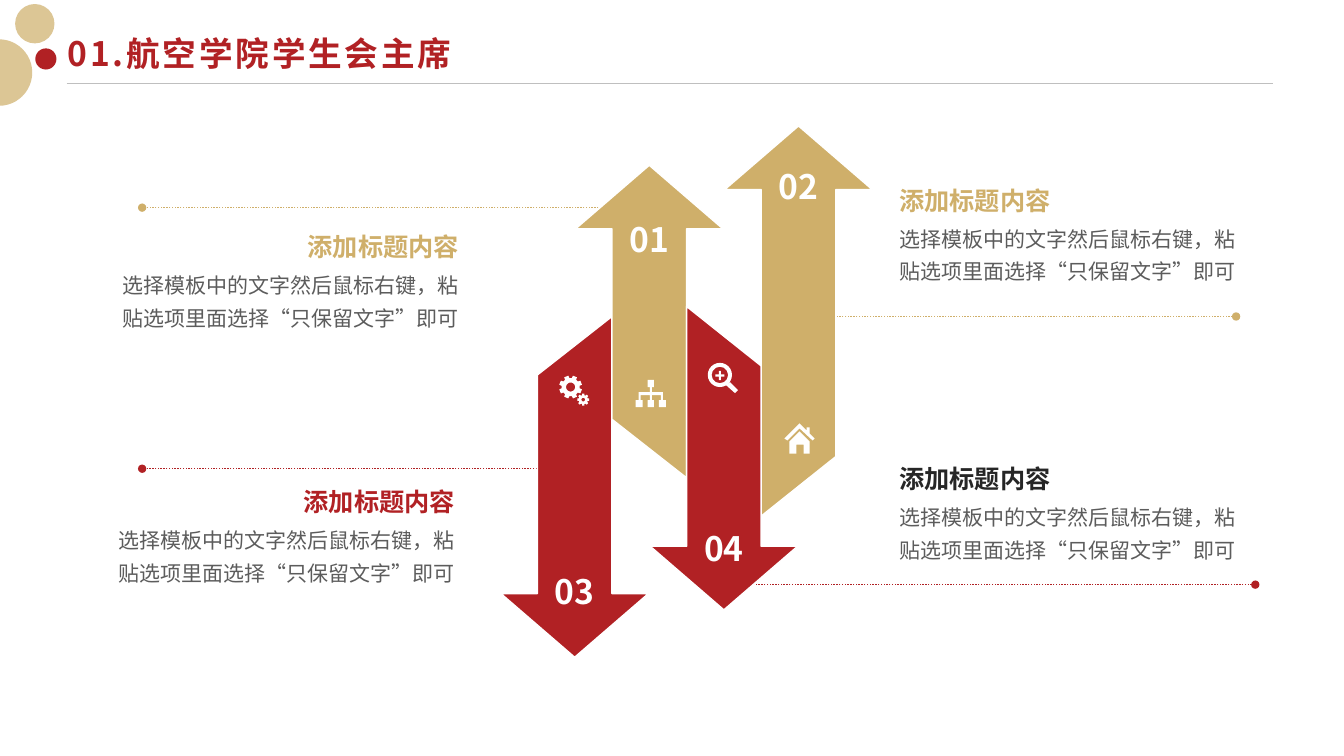
import math

import lxml.etree
import pptx
import pptx.dml.color
import pptx.enum.dml
import pptx.enum.shapes
import pptx.enum.text
import pptx.oxml.ns
import pptx.util

Inches = pptx.util.Inches
Pt = pptx.util.Pt
RGBColor = pptx.dml.color.RGBColor
MSO_SHAPE = pptx.enum.shapes.MSO_SHAPE
PP_ALIGN = pptx.enum.text.PP_ALIGN
MSO_ANCHOR = pptx.enum.text.MSO_ANCHOR
qn = pptx.oxml.ns.qn

FONT = "Noto Sans CJK SC"
GOLD = RGBColor(0xCF, 0xAF, 0x6A)
RED = RGBColor(0xB1, 0x21, 0x24)
WHITE = RGBColor(0xFF, 0xFF, 0xFF)
BLACK = RGBColor(0x26, 0x26, 0x26)
GREY = RGBColor(0x5C, 0x5C, 0x5C)
RULE_GREY = RGBColor(0xBF, 0xBF, 0xBF)

HEADING = "添加标题内容"
BODY = "选择模板中的文字然后鼠标右键，粘贴选项里面选择“只保留文字”即可"

# number, colour, tip y, left and right y of the slanted end, number top; left to right
ARROWS = [
    ("03", RED, 6.52, 3.72, 3.14, 5.61),
    ("01", GOLD, 1.64, 4.16, 4.74, 2.12),
    ("04", RED, 6.05, 3.04, 3.63, 5.19),
    ("02", GOLD, 1.25, 5.12, 4.53, 1.60),
]
ARROW_ORDER = [0, 1, 3, 2]
FIRST_CENTRE, ARROW_PITCH = 5.70, 0.74
HEAD_HALF, SHAFT_HALF, HEAD_LENGTH = 0.73, 0.37, 0.63

# heading colour, heading left, body left, top, body width, alignment
CAPTIONS = [
    (GOLD, 2.85, 0.99, 2.25, 3.66, PP_ALIGN.RIGHT),
    (RED, 2.81, 0.89, 4.78, 3.72, PP_ALIGN.RIGHT),
    (GOLD, 8.82, 8.82, 1.79, 3.57, PP_ALIGN.LEFT),
    (BLACK, 8.82, 8.82, 4.55, 3.62, PP_ALIGN.LEFT),
]

# start x, end x, y, colour
LEADERS = [
    (6.08, 1.41, 2.06, GOLD),
    (5.61, 1.41, 4.65, RED),
    (12.26, 8.05, 3.14, GOLD),
    (12.45, 7.30, 5.80, RED),
]

# right half of the organisation chart, as offsets from its top centre
ORG_HALF = [
    (0.03, 0), (0.03, 0.07), (0.01, 0.07), (0.01, 0.12), (0.12, 0.12), (0.12, 0.2),
    (0.15, 0.2), (0.15, 0.27), (0.08, 0.27), (0.08, 0.2), (0.1, 0.2), (0.1, 0.15),
    (0.01, 0.15), (0.01, 0.2), (0.03, 0.2), (0.03, 0.27),
]
ROOF = [
    (8.03, 4.3), (8.03, 4.24), (8, 4.24), (8, 4.27), (7.93, 4.2), (7.78, 4.35),
    (7.81, 4.37), (7.93, 4.25), (8.06, 4.37), (8.08, 4.35),
]
WALLS = [
    (7.93, 4.28), (7.83, 4.38), (7.83, 4.5), (7.9, 4.5), (7.9, 4.41),
    (7.97, 4.41), (7.97, 4.5), (8.03, 4.5), (8.03, 4.38),
]
LENS_HANDLE = [(7.2, 3.82), (7.24, 3.79), (7.32, 3.87), (7.29, 3.9)]


def paint(shape, fill, outline=None):
    shape.shadow.inherit = False
    shape.fill.solid()
    shape.fill.fore_color.rgb = fill
    if outline is None:
        shape.line.fill.background()
    else:
        shape.line.color.rgb = outline
        shape.line.width = Pt(1)


def add_preset(slide, preset, left, top, size, fill):
    shape = slide.shapes.add_shape(
        preset, Inches(left), Inches(top), Inches(size), Inches(size))
    paint(shape, fill)
    return shape


def add_outline(slide, contours, fill, outline=None):
    """Draw closed contours as one shape; inner contours become holes."""
    contours = [[(Inches(x), Inches(y)) for x, y in c] for c in contours]
    builder = slide.shapes.build_freeform(*contours[0][0])
    for index, contour in enumerate(contours):
        if index:
            builder.move_to(*contour[0])
        builder.add_line_segments(contour[1:], close=True)
    paint(builder.convert_to_shape(), fill, outline)


def add_line(slide, start_x, end_x, y, color, width):
    line = slide.shapes.add_connector(
        pptx.enum.shapes.MSO_CONNECTOR.STRAIGHT,
        Inches(start_x), Inches(y), Inches(end_x), Inches(y))
    line.line.color.rgb = color
    line.line.width = Pt(width)
    lxml.etree.SubElement(line._element.spPr, qn("a:effectLst"))
    return line


def add_leader(slide, start_x, end_x, y, color):
    leader = add_line(slide, start_x, end_x, y, color, 1)
    leader.line.dash_style = pptx.enum.dml.MSO_LINE.ROUND_DOT
    for end in ("a:headEnd", "a:tailEnd"):
        lxml.etree.SubElement(leader._element.spPr.find(qn("a:ln")), qn(end), type="oval")


def format_text(frame, text, size, color, bold, align, spacing=None):
    frame.word_wrap = True
    frame.text = text
    paragraph = frame.paragraphs[0]
    paragraph.alignment = align
    if spacing:
        paragraph.line_spacing = spacing
    run = paragraph.runs[0]
    run.font.size = Pt(size)
    run.font.bold = bold
    run.font.color.rgb = color
    run.font.name = FONT
    properties = run.font._element
    lxml.etree.SubElement(properties, qn("a:ea"), typeface=FONT)
    return properties


def add_text(slide, left, top, width, height, *style):
    box = slide.shapes.add_textbox(Inches(left), Inches(top), Inches(width), Inches(height))
    format_text(box.text_frame, *style)
    box.text_frame.auto_size = pptx.enum.text.MSO_AUTO_SIZE.SHAPE_TO_FIT_TEXT


def add_arrow(slide, column):
    number, color, tip, left_end, right_end, number_top = ARROWS[column]
    centre = FIRST_CENTRE + column * ARROW_PITCH
    neck = tip + math.copysign(HEAD_LENGTH, left_end - tip)
    add_outline(slide, [[
        (centre, tip), (centre - HEAD_HALF, neck), (centre - SHAFT_HALF, neck),
        (centre - SHAFT_HALF, left_end), (centre + SHAFT_HALF, right_end),
        (centre + SHAFT_HALF, neck), (centre + HEAD_HALF, neck),
    ]], color, WHITE)
    add_text(slide, centre - 0.4, number_top, 0.8, 0.5,
             number, 24, WHITE, True, PP_ALIGN.CENTER)


def add_gear(slide, x, y, outer, root, hole, first_tooth, teeth=8):
    def polar(radius, turns):
        angle = 2 * math.pi * turns
        return x + radius * math.cos(angle), y + radius * math.sin(angle)

    tooth = [(root, -0.33), (outer, -0.24), (outer, 0.24), (root, 0.33)]
    rim = [polar(radius, (first_tooth + index + shift) / teeth)
           for index in range(teeth) for radius, shift in tooth]
    add_outline(slide, [rim, [polar(hole, -step / 24) for step in range(24)]], WHITE)


def add_icons(slide):
    right = [(6.455 + dx, 3.77 + dy) for dx, dy in ORG_HALF]
    left = [(6.455 - dx, 3.77 + dy) for dx, dy in reversed(ORG_HALF)]
    add_outline(slide, [right + left], WHITE)
    plus = add_preset(slide, MSO_SHAPE.CROSS, 7.095, 3.68, 0.09, WHITE)
    plus.adjustments[0] = 0.38
    lens = add_preset(slide, MSO_SHAPE.DONUT, 7.02, 3.6, 0.24, WHITE)
    lens.adjustments[0] = 0.16
    for outline in (LENS_HANDLE, ROOF, WALLS):
        add_outline(slide, [outline], WHITE)
    add_gear(slide, 5.66, 3.84, 0.115, 0.09, 0.045, 0.5)
    add_gear(slide, 5.785, 3.965, 0.06, 0.045, 0.018, 0)


def add_header(slide):
    for left, top, size in ((0.15, 0.04, 0.39), (-0.34, 0.39, 0.66)):
        circle = add_preset(slide, MSO_SHAPE.OVAL, left, top, size, GOLD)
        tint = circle._element.spPr.find(qn("a:solidFill"))[0]
        lxml.etree.SubElement(tint, qn("a:alpha"), val="71000")
    add_preset(slide, MSO_SHAPE.OVAL, 0.35, 0.48, 0.21, RED)
    add_line(slide, 0.66, 12.63, 0.83, RULE_GREY, 0.5)

    title = slide.shapes.title
    title.left, title.top = Inches(0.67), Inches(0.31)
    title.width, title.height = Inches(8.7), Inches(0.48)
    frame = title.text_frame
    frame.margin_left = frame.margin_right = frame.margin_top = frame.margin_bottom = 0
    frame.vertical_anchor = MSO_ANCHOR.MIDDLE
    properties = format_text(frame, "01.航空学院学生会主席", 24, RED, True, PP_ALIGN.LEFT, 0.9)
    properties.set("spc", "200")


def main():
    deck = pptx.Presentation()
    deck.slide_width, deck.slide_height = Inches(13.33), Inches(7.5)
    slide = deck.slides.add_slide(deck.slide_layouts[5])
    add_header(slide)
    for leader in LEADERS:
        add_leader(slide, *leader)
    for column in ARROW_ORDER:
        add_arrow(slide, column)
    for color, heading_left, body_left, top, width, align in CAPTIONS:
        add_text(slide, heading_left, top, 1.8, 0.4, HEADING, 18, color, True, align)
        add_text(slide, body_left, top + 0.33, width, 0.72, BODY, 15, GREY, False, align, 1.3)
    add_icons(slide)
    deck.save("out.pptx")


if __name__ == "__main__":
    main()
